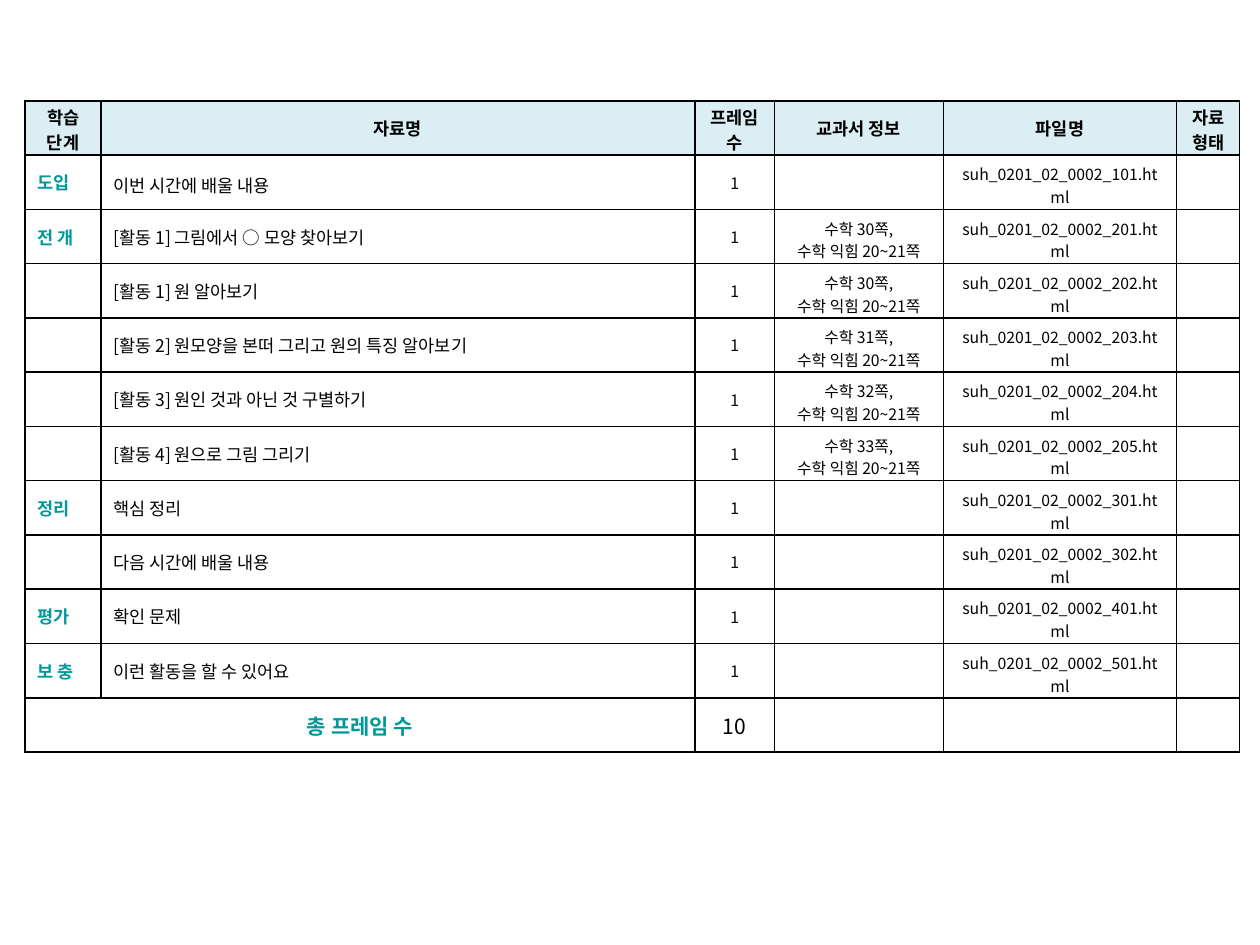
from lxml import etree
from pptx import Presentation
from pptx.dml.color import RGBColor
from pptx.enum.text import MSO_ANCHOR, PP_ALIGN
from pptx.oxml.ns import qn
from pptx.util import Inches, Pt

CENTER, LEFT, JUSTIFY = PP_ALIGN.CENTER, PP_ALIGN.LEFT, PP_ALIGN.JUSTIFY
MIDDLE = MSO_ANCHOR.MIDDLE
BLACK = RGBColor(0x00, 0x00, 0x00)
TEAL = RGBColor(0x00, 0x99, 0x99)
PALE_BLUE = RGBColor(0xDB, 0xEE, 0xF4)
FONT = "Noto Sans CJK KR"
COLUMN_SHARES = [0.6, 4.71, 0.63, 1.34, 1.85, 0.5]
HEADERS = ["학습 단계", "자료명", "프레임 수", "교과서 정보", "파일명", "자료\n형태"]
WRAPPED_HEADERS = (0, 2, 5)
LESSONS = [
    ("도입", "이번 시간에 배울 내용", "", "101"),
    ("전 개", "[활동 1] 그림에서 ○ 모양 찾아보기", "30", "201"),
    ("", "[활동 1] 원 알아보기", "30", "202"),
    ("", "[활동 2] 원모양을 본떠 그리고 원의 특징 알아보기", "31", "203"),
    ("", "[활동 3] 원인 것과 아닌 것 구별하기", "32", "204"),
    ("", "[활동 4] 원으로 그림 그리기", "33", "205"),
    ("정리", "핵심 정리", "", "301"),
    ("", "다음 시간에 배울 내용", "", "302"),
    ("평가", "확인 문제", "", "401"),
    ("보 충", "이런 활동을 할 수 있어요", "", "501"),
]


def add_borders(cell):
    properties = cell._tc.get_or_add_tcPr()
    for side in ("a:lnL", "a:lnR", "a:lnT", "a:lnB"):
        line = etree.SubElement(properties, qn(side), w=str(Pt(1)))
        fill = etree.SubElement(line, qn("a:solidFill"))
        etree.SubElement(fill, qn("a:srgbClr"), val=str(BLACK))


def write_cell(cell, text, size=9, align=CENTER, color=BLACK, bold=False,
               insets=(0.05, 0.05)):
    cell.vertical_anchor = MIDDLE
    cell.margin_left = cell.margin_right = Inches(0.1)
    cell.margin_top, cell.margin_bottom = (Inches(inset) for inset in insets)
    cell.text_frame.text = text
    for paragraph in cell.text_frame.paragraphs:
        paragraph.alignment = align
        if not text:
            paragraph._p.get_or_add_endParaRPr().set("sz", str(size * 100))
        for run in paragraph.runs:
            run.font.name = FONT
            run.font.size = Pt(size)
            run.font.bold = bold
            run.font.color.rgb = color
            east_asian = etree.SubElement(run._r.get_or_add_rPr(), qn("a:ea"))
            east_asian.set("typeface", FONT)


def write_header(table):
    for column, title in enumerate(HEADERS):
        insets = (0.02, 0) if column in WRAPPED_HEADERS else (0.05, 0.05)
        cell = table.cell(0, column)
        write_cell(cell, title, size=10, bold=True, insets=insets)
        cell.fill.solid()
        cell.fill.fore_color.rgb = PALE_BLUE


def write_lesson(table, row, stage, title, page, number):
    book = f"수학 {page}쪽,\n수학 익힘 20~21쪽" if page else ""
    file_name = f"suh_0201_02_0002_{number}.html"
    two_lines = (0.05, 0)
    write_cell(table.cell(row, 0), stage, 10, JUSTIFY, TEAL, True)
    write_cell(table.cell(row, 1), title, 10, LEFT)
    write_cell(table.cell(row, 2), "1")
    write_cell(table.cell(row, 3), book, insets=two_lines)
    write_cell(table.cell(row, 4), file_name, insets=two_lines)
    write_cell(table.cell(row, 5), "")


def write_total(table, row):
    for column in range(3, len(HEADERS)):
        write_cell(table.cell(row, column), "")
    table.cell(row, 0).merge(table.cell(row, 1))
    write_cell(table.cell(row, 0), "총 프레임 수", 12, color=TEAL, bold=True)
    write_cell(table.cell(row, 2), str(len(LESSONS)), 12)


def add_lesson_table(slide, left, top, width, height):
    row_count = len(LESSONS) + 2
    table = slide.shapes.add_table(row_count, len(HEADERS), left, top, width, height).table
    table.first_row = table.horz_banding = False
    for column, share in zip(table.columns, COLUMN_SHARES):
        column.width = int(width * share / sum(COLUMN_SHARES))
    for row in table.rows:
        row.height = height // row_count
    for cell in table.iter_cells():
        add_borders(cell)
        cell.fill.background()
    write_header(table)
    for row, lesson in enumerate(LESSONS, start=1):
        write_lesson(table, row, *lesson)
    table.cell(1, 1).text_frame.paragraphs[0].line_spacing = 1.2
    write_total(table, row_count - 1)


def main():
    presentation = Presentation()
    presentation.slide_width = Inches(10)
    presentation.slide_height = Inches(7.5)
    slide = presentation.slides.add_slide(presentation.slide_layouts[6])
    add_lesson_table(slide, Inches(0.2), Inches(0.8), Inches(9.64), Inches(5.17))
    presentation.save("out.pptx")


if __name__ == "__main__":
    main()
